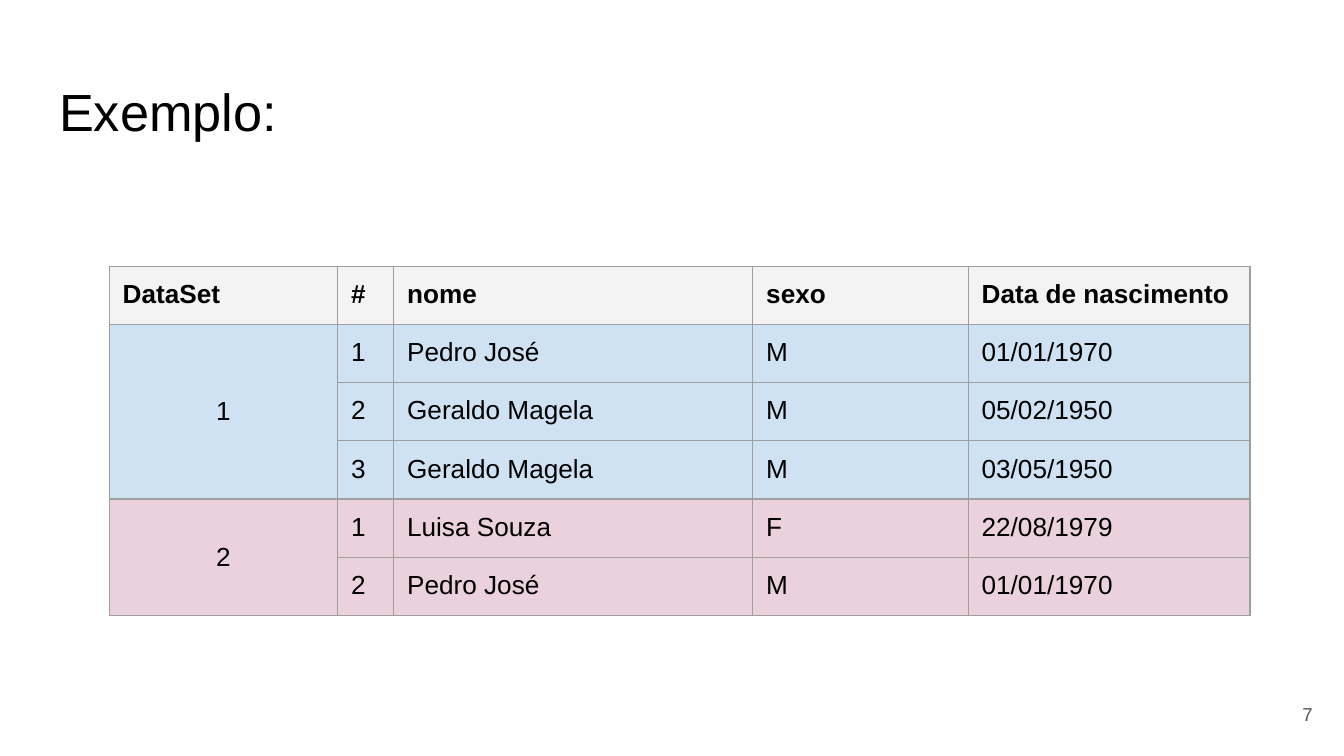
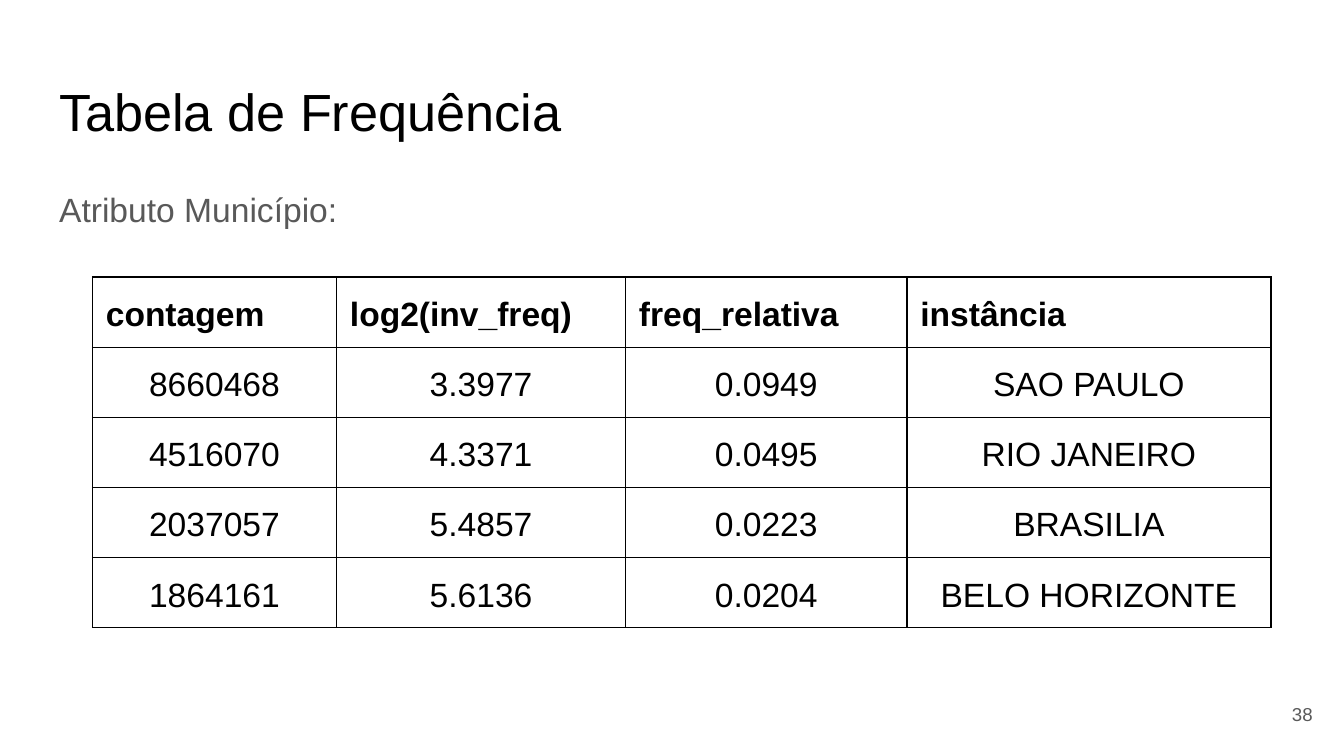
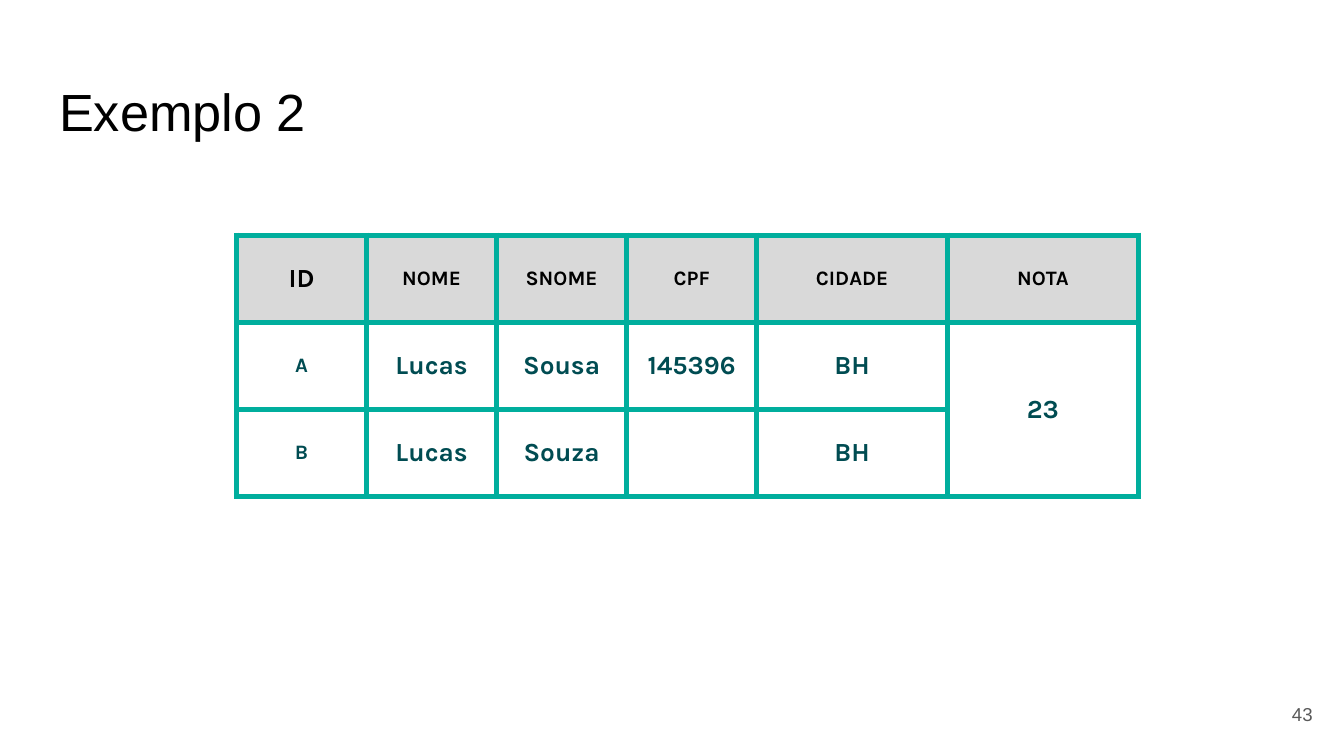
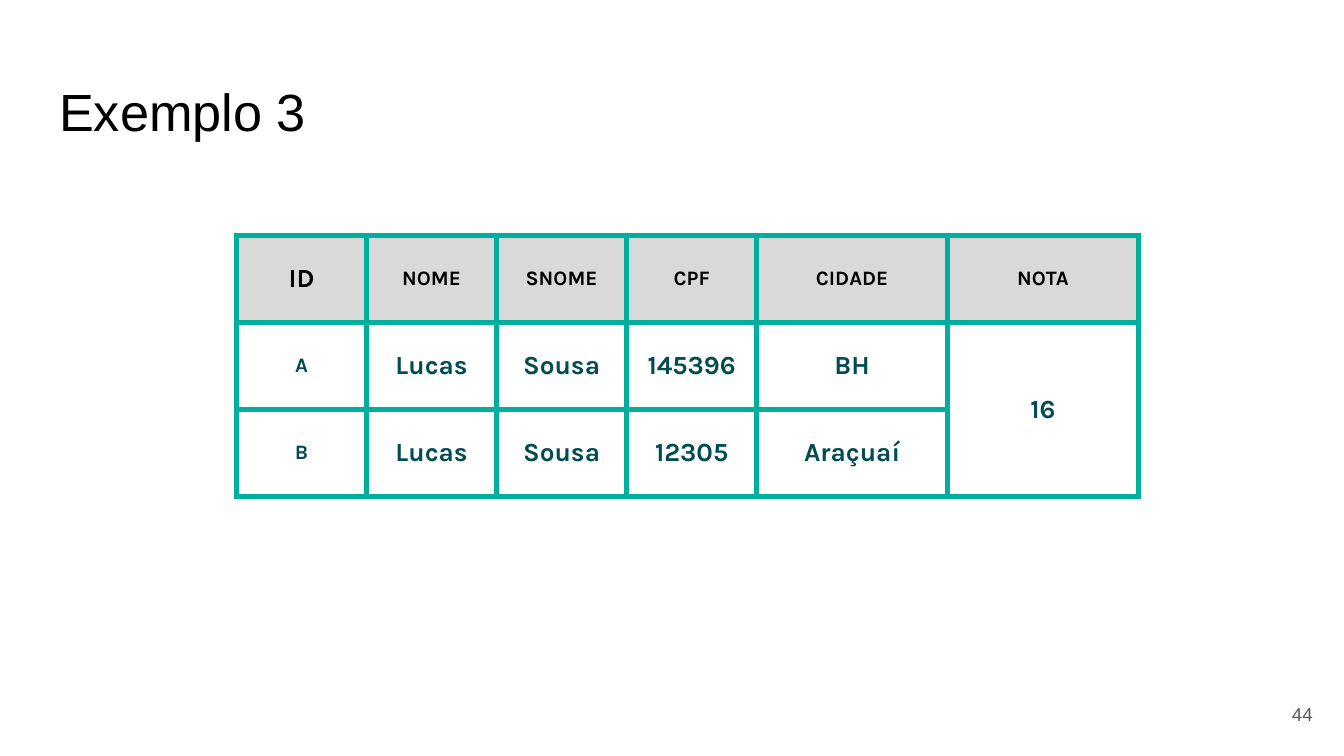
from lxml import etree
from pptx import Presentation
from pptx.dml.color import RGBColor
from pptx.enum.text import MSO_ANCHOR, MSO_AUTO_SIZE, PP_ALIGN
from pptx.oxml.ns import qn
from pptx.util import Pt

TOP, MIDDLE = MSO_ANCHOR.TOP, MSO_ANCHOR.MIDDLE
LEFT, CENTER, RIGHT = PP_ALIGN.LEFT, PP_ALIGN.CENTER, PP_ALIGN.RIGHT
NO_AUTOFIT = MSO_AUTO_SIZE.NONE

BLACK = RGBColor(0x00, 0x00, 0x00)
DARK_GRAY = RGBColor(0x59, 0x59, 0x59)
BORDER_GRAY = RGBColor(0x9E, 0x9E, 0x9E)
LIGHT_GRAY = RGBColor(0xF3, 0xF3, 0xF3)
HEADER_GRAY = RGBColor(0xD9, 0xD9, 0xD9)
BLUE = RGBColor(0xCF, 0xE2, 0xF3)
PINK = RGBColor(0xEA, 0xD1, 0xDC)
TEAL = RGBColor(0x00, 0xAE, 0x9D)
DARK_TEAL = RGBColor(0x00, 0x4C, 0x52)

# Layouts of the default template
TITLE_AND_BODY, TITLE_ONLY = 1, 5

# Text shared by the slides
TITLE_FONT = {"name": "Arial", "size": Pt(28)}
BODY_FONT = {"name": "Arial", "size": Pt(18)}
NUMBER_FONT = {"name": "Arial", "size": Pt(10)}

# Table styles: each (header, body) pair gives the value for row 0 and for the rest
DATASET_STYLE = {
    "font": "Arial", "sizes": ([14] * 5, [14] * 5), "bold": (True, False),
    "colors": (BLACK, BLACK), "align": (LEFT, LEFT), "anchor": TOP,
    "line_spacing": 1, "margin": 7.2, "border": (BORDER_GRAY, 0.75),
    "fills": [LIGHT_GRAY] + [BLUE] * 3 + [PINK] * 2,
    "left": 58.5, "top": 142.6, "row_height": 31.2,
    "widths": [122.4, 30, 192.4, 115.4, 151],
}
FREQUENCY_STYLE = {
    "font": "Arial", "sizes": ([18] * 4, [18] * 4), "bold": (True, False),
    "colors": (BLACK, BLACK), "align": (LEFT, CENTER), "anchor": TOP,
    "line_spacing": 1.15, "margin": 7.2, "border": (BLACK, 0.75),
    "fills": [None] * 5,
    "left": 49.5, "top": 148.4, "row_height": 37.5,
    "widths": [130.8, 154.8, 150.8, 195],
}
PERSON_STYLE = {
    "font": "Karla", "sizes": ([14] + [11] * 5, [11] + [14] * 5), "bold": (True, True),
    "colors": (BLACK, DARK_TEAL), "align": (CENTER, CENTER), "anchor": MIDDLE,
    "line_spacing": 1, "margin": 5, "border": (TEAL, 3),
    "fills": [HEADER_GRAY, None, None],
    "left": 126.7, "top": 126, "row_height": 46.7,
    "widths": [69.7] * 4 + [102.2] * 2,
}
PERSON_HEADER = ["ID", "NOME", "SNOME", "CPF", "CIDADE", "NOTA"]

# Slide contents; None continues the cell above
SLIDES = [
    {"title": "Exemplo:", "number": "7", "style": DATASET_STYLE, "rows": [
        ["DataSet", "#", "nome", "sexo", "Data de nascimento"],
        ["1", "1", "Pedro José", "M", "01/01/1970"],
        [None, "2", "Geraldo Magela", "M", "05/02/1950"],
        [None, "3", "Geraldo Magela", "M", "03/05/1950"],
        ["2", "1", "Luisa Souza", "F", "22/08/1979"],
        [None, "2", "Pedro José", "M", "01/01/1970"]]},
    {"title": "Tabela de Frequência", "body": "Atributo Município:", "number": "38",
     "style": FREQUENCY_STYLE, "rows": [
        ["contagem", "log2(inv_freq)", "freq_relativa", "instância"],
        ["8660468", "3.3977", "0.0949", "SAO PAULO"],
        ["4516070", "4.3371", "0.0495", "RIO JANEIRO"],
        ["2037057", "5.4857", "0.0223", "BRASILIA"],
        ["1864161", "5.6136", "0.0204", "BELO HORIZONTE"]]},
    {"title": "Exemplo 2", "number": "43", "style": PERSON_STYLE, "rows": [
        PERSON_HEADER,
        ["A", "Lucas", "Sousa", "145396", "BH", "23"],
        ["B", "Lucas", "Souza", "", "BH", None]]},
    {"title": "Exemplo 3", "number": "44", "style": PERSON_STYLE, "rows": [
        PERSON_HEADER,
        ["A", "Lucas", "Sousa", "145396", "BH", "16"],
        ["B", "Lucas", "Sousa", "12305", "Araçuaí", None]]},
]


def write_text(text_frame, text, font, color, align=LEFT, line_spacing=1):
    paragraph = text_frame.paragraphs[0]
    paragraph.alignment = align
    paragraph.line_spacing = line_spacing
    paragraph.space_before = Pt(0)
    if text:
        run = paragraph.add_run()
        run.text = text
        for name, value in font.items():
            setattr(run.font, name, value)
        run.font.color.rgb = color


def place_box(shape, left, top, width, height, anchor=TOP):
    box = {"left": left, "top": top, "width": width, "height": height}
    for name, value in box.items():
        setattr(shape, name, Pt(value))
    frame_format = {"word_wrap": True, "auto_size": NO_AUTOFIT, "vertical_anchor": anchor}
    for side in ("left", "top", "right", "bottom"):
        frame_format[f"margin_{side}"] = Pt(7.2)
    for name, value in frame_format.items():
        setattr(shape.text_frame, name, value)


presentation = Presentation()
presentation.slide_width = Pt(720)
presentation.slide_height = Pt(405)

for content in SLIDES:
    layout = TITLE_AND_BODY if "body" in content else TITLE_ONLY
    slide = presentation.slides.add_slide(presentation.slide_layouts[layout])

    # Title and body
    title = slide.shapes.title
    place_box(title, 24.5, 35, 671, 45.1)
    write_text(title.text_frame, content["title"], TITLE_FONT, BLACK)
    if "body" in content:
        body = slide.placeholders[1]
        place_box(body, 24.5, 90.7, 671, 269)
        properties = body.text_frame.paragraphs[0]._p.get_or_add_pPr()
        properties.set("marL", "0")
        properties.set("indent", "0")
        etree.SubElement(properties, qn("a:buNone"))
        write_text(body.text_frame, content["body"], BODY_FONT, DARK_GRAY, line_spacing=1.15)

    # Table
    style, rows = content["style"], content["rows"]
    widths, row_height = style["widths"], style["row_height"]
    table = slide.shapes.add_table(
        len(rows), len(widths), Pt(style["left"]), Pt(style["top"]),
        Pt(sum(widths)), Pt(row_height * len(rows))).table
    table.first_row = table.horz_banding = False
    for column, width in zip(table.columns, widths):
        column.width = Pt(width)

    border_color, border_width = style["border"]
    for row_index, row in enumerate(rows):
        table.rows[row_index].height = Pt(row_height)
        part = 0 if row_index == 0 else 1
        for column_index, text in enumerate(row):
            cell = table.cell(row_index, column_index)

            # Merge with the continued cells below
            last_row = row_index
            while last_row + 1 < len(rows) and rows[last_row + 1][column_index] is None:
                last_row += 1
            merged = text is not None and last_row > row_index
            if merged:
                cell.merge(table.cell(last_row, column_index))

            # Cell format and text
            cell_format = {
                "margin_left": Pt(7.2), "margin_right": Pt(7.2),
                "margin_top": Pt(style["margin"]), "margin_bottom": Pt(style["margin"]),
                "vertical_anchor": MIDDLE if merged else style["anchor"],
            }
            for name, value in cell_format.items():
                setattr(cell, name, value)
            font = {"name": style["font"], "size": Pt(style["sizes"][part][column_index]),
                    "bold": style["bold"][part]}
            write_text(cell.text_frame, text, font, style["colors"][part],
                       CENTER if merged else style["align"][part], style["line_spacing"])

            # Fill and borders
            fill_color = style["fills"][row_index]
            if fill_color is None:
                cell.fill.background()
            else:
                cell.fill.solid()
                cell.fill.fore_color.rgb = fill_color
            cell_properties = cell._tc.get_or_add_tcPr()
            for position, side in enumerate(("lnL", "lnR", "lnT", "lnB")):
                line = etree.Element(qn(f"a:{side}"), w=str(Pt(border_width)))
                solid_fill = etree.SubElement(line, qn("a:solidFill"))
                etree.SubElement(solid_fill, qn("a:srgbClr"), val=str(border_color))
                cell_properties.insert(position, line)

    # Slide number
    number = slide.shapes.add_textbox(0, 0, 0, 0)
    place_box(number, 667.1, 367.2, 43.2, 31, MIDDLE)
    write_text(number.text_frame, content["number"], NUMBER_FONT, DARK_GRAY, RIGHT)

presentation.save("out.pptx")
